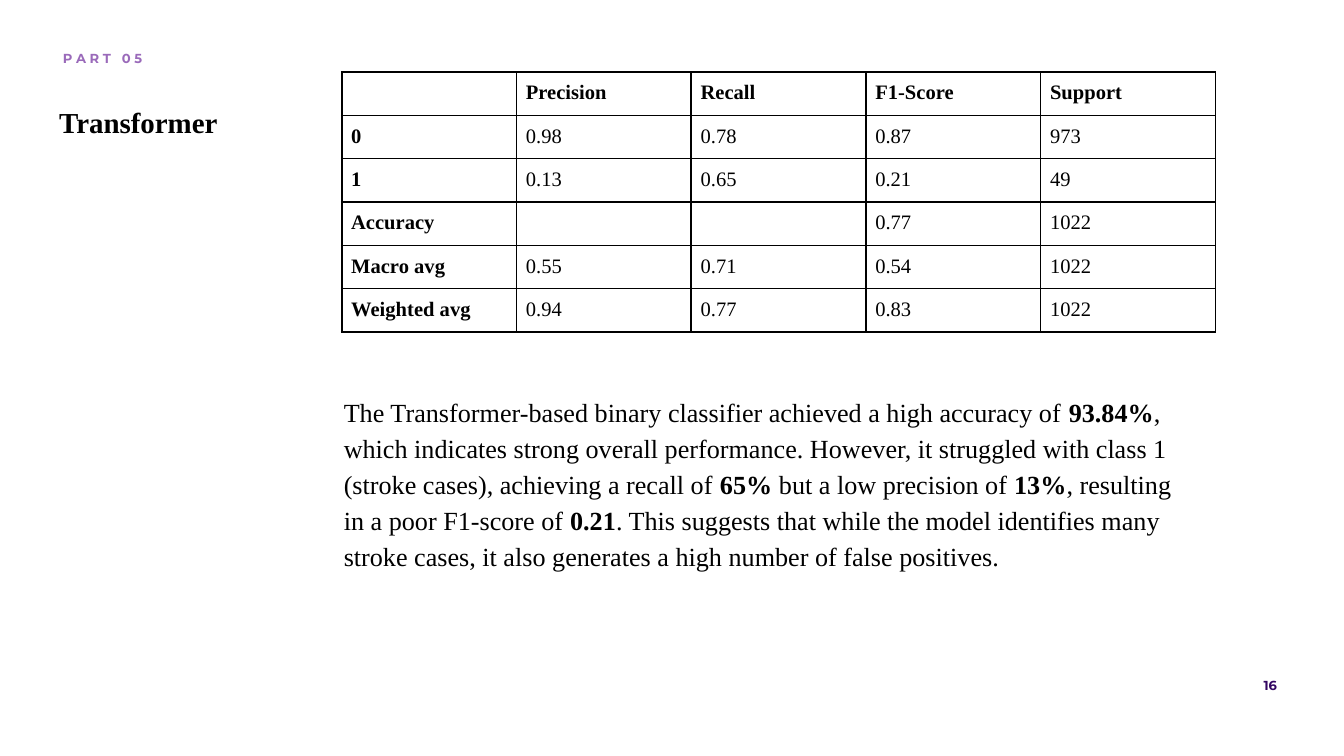
from lxml import etree
from pptx import Presentation
from pptx import util as u
from pptx.dml.color import RGBColor
from pptx.enum import text
from pptx.oxml.ns import qn

COLORS = {"ink": "000000", "label": "9A6ABA", "number": "330662", "paper": "FFFFFF"}
SERIF, SANS = "Times New Roman", "Montserrat"
WIDTH = 10
HEIGHT = WIDTH * 9 / 16


class Deck:
    """Holds the style and the current slide; boxes are percentages of the slide."""

    def __init__(self):
        self.file = Presentation()
        self.file.slide_width = u.Inches(WIDTH)
        self.file.slide_height = u.Inches(HEIGHT)
        self.slide = self.file.slides.add_slide(self.file.slide_layouts[5])
        background = self.slide.background.fill
        background.solid()
        background.fore_color.rgb = RGBColor.from_string(COLORS["paper"])

    def box(self, left, top, width, height):
        across, down = u.Inches(WIDTH) / 100, u.Inches(HEIGHT) / 100
        return (round(left * across), round(top * down),
                round(width * across), round(height * down))

    def style(self, paragraph, size, face=SERIF, color="ink", bold=None):
        font = paragraph.font
        font.size, font.name, font.bold = u.Pt(size), face, bold
        font.color.rgb = RGBColor.from_string(COLORS[color])

    def frame(self, shape):
        frame = shape.text_frame
        frame.word_wrap = True
        frame.auto_size = text.MSO_AUTO_SIZE.NONE
        frame.vertical_anchor = text.MSO_ANCHOR.TOP
        frame.margin_left = frame.margin_right = u.Inches(0.1)
        frame.margin_top = frame.margin_bottom = u.Inches(0.1)
        return frame.paragraphs[0]

    def title(self, box, words, size):
        heading = self.slide.shapes.title
        heading.left, heading.top, heading.width, heading.height = self.box(*box)
        paragraph = self.frame(heading)
        paragraph.text = words
        paragraph.alignment = text.PP_ALIGN.LEFT
        paragraph.line_spacing = 1.15
        paragraph.space_before = paragraph.space_after = u.Pt(12)
        self.style(paragraph, size, bold=True)

    def text(self, box, parts, size, align=text.PP_ALIGN.LEFT, spacing=None, **look):
        """Write the parts in turn; every second one is bold."""
        paragraph = self.frame(self.slide.shapes.add_textbox(*self.box(*box)))
        paragraph.alignment, paragraph.line_spacing = align, spacing
        self.style(paragraph, size, **look)
        for index, part in enumerate(parts):
            run = paragraph.add_run()
            run.text = part
            if index % 2:
                run.font.bold = True

    def border(self, cell):
        properties = cell._tc.get_or_add_tcPr()
        for place, side in enumerate(("a:lnL", "a:lnR", "a:lnT", "a:lnB")):
            line = etree.Element(qn(side), w=str(u.Pt(1)))
            fill = etree.SubElement(line, qn("a:solidFill"))
            etree.SubElement(fill, qn("a:srgbClr"), val=COLORS["ink"])
            properties.insert(place, line)

    def table(self, box, rows, size):
        """Bold the first row and the first column."""
        grid = self.slide.shapes.add_table(len(rows), len(rows[0]), *self.box(*box)).table
        grid.first_row = grid.horz_banding = False
        for r, row in enumerate(rows):
            for c, words in enumerate(row):
                cell = grid.cell(r, c)
                cell.fill.background()
                cell.margin_left = cell.margin_right = u.Inches(0.07)
                cell.margin_top = cell.margin_bottom = u.Inches(0.07)
                cell.text = words
                self.style(cell.text_frame.paragraphs[0], size, bold=r == 0 or c == 0)
                self.border(cell)


SCORES = [
    ["", "Precision", "Recall", "F1-Score", "Support"],
    ["0", "0.98", "0.78", "0.87", "973"],
    ["1", "0.13", "0.65", "0.21", "49"],
    ["Accuracy", "", "", "0.77", "1022"],
    ["Macro avg", "0.55", "0.71", "0.54", "1022"],
    ["Weighted avg", "0.94", "0.77", "0.83", "1022"],
]
FINDINGS = [
    "The Transformer-based binary classifier achieved a high accuracy of ", "93.84%",
    ", which indicates strong overall performance. However, it struggled with class 1 "
    "(stroke cases), achieving a recall of ", "65%",
    " but a low precision of ", "13%",
    ", resulting in a poor F1-score of ", "0.21",
    ". This suggests that while the model identifies many stroke cases, it also "
    "generates a high number of false positives.",
]


def main():
    deck = Deck()
    # Page number
    deck.text((50.1, 87.8, 45.9, 6), ["16"], 7, text.PP_ALIGN.RIGHT,
              face=SANS, color="number", bold=True)
    # Heading and part label
    deck.title((3.4, 11.4, 71.6, 12.8), "Transformer", 15.5)
    deck.text((3.7, 4.9, 26.6, 6), ["P A R T   0 5"], 7,
              face=SANS, color="label", bold=True)
    # Findings below the scores
    deck.text((24.6, 50, 65, 27), FINDINGS, 14, spacing=1.15)
    # Classification scores
    deck.table((25.43, 9.52, 65, 34.4), SCORES, 11)
    deck.file.save("out.pptx")


if __name__ == "__main__":
    main()
